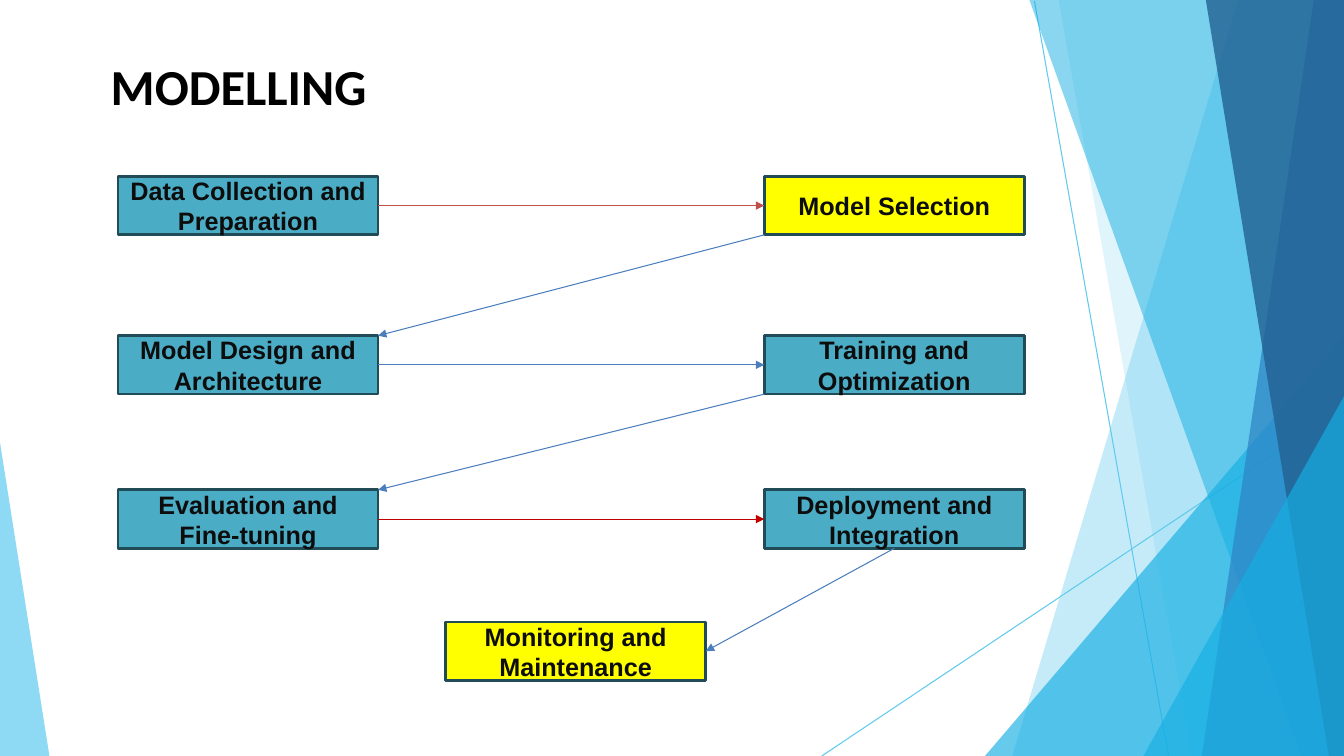
import pptx
import pptx.util
import pptx.dml.color
import pptx.enum.shapes
import pptx.enum.text
import pptx.oxml.ns
import pptx.oxml.xmlchemy

Inches, Pt = pptx.util.Inches, pptx.util.Pt
RGB = pptx.dml.color.RGBColor
qn = pptx.oxml.ns.qn
make = pptx.oxml.xmlchemy.OxmlElement
SKY = RGB(0x5F, 0xCA, 0xEE)
CYAN = RGB(0x16, 0xAF, 0xE3)
BLUE = RGB(0x2D, 0x83, 0xC3)
NAVY = RGB(0x22, 0x61, 0x92)
TEAL = RGB(0x4B, 0xAC, 0xC6)
YELLOW = RGB(0xFF, 0xFF, 0x00)
EDGE = RGB(0x21, 0x4B, 0x57)
INK = RGB(0x0D, 0x0D, 0x0D)
BLACK = RGB(0x00, 0x00, 0x00)
ROSE = RGB(0xC0, 0x50, 0x4D)
STEEL = RGB(0x4B, 0x7E, 0xBC)
RED = RGB(0xC0, 0x00, 0x00)

W, H = 13.33, 7.5
deck = pptx.Presentation()
deck.slide_width, deck.slide_height = Inches(W), Inches(H)
slide = deck.slides.add_slide(deck.slide_layouts[6])
shapes = slide.shapes


def add_line(start, end, color, arrow=False):
    kind = pptx.enum.shapes.MSO_CONNECTOR.STRAIGHT
    line = shapes.add_connector(kind, *map(Inches, start + end))
    line.line.color.rgb = color
    line.line.width = Pt(0.75)
    props = line._element.spPr
    props.append(make("a:effectLst"))
    if arrow:
        tip = make("a:tailEnd")
        tip.set("type", "triangle")
        props.find(qn("a:ln")).append(tip)


def write(shape, text, align, style):
    frame = shape.text_frame
    frame.word_wrap = True
    para = frame.paragraphs[0]
    para.alignment = align
    run = para.add_run()
    run.text = text
    for key, value in style.items():
        if key == "color":
            run.font.color.rgb = value
        else:
            setattr(run.font, key, value)


# Thin lines behind the facets
add_line((10.26, 0.01), (11.59, H), SKY)
add_line((W, 4.04), (8.15, H), SKY)

# Facets: side edge, top corner x and y, foot x, colour, opacity in percent
facets = [
    (W, 12.28, 0, 10.04, SKY, 36),
    (W, 10.5, 0, 11.82, SKY, 20),
    (W, W, 3.33, 9.77, CYAN, 66),
    (W, 10.21, 0, 12.91, CYAN, 50),
    (W, 13.03, 0, 11.92, BLUE, 70),
    (W, 11.96, 0, 13.18, NAVY, 80),
    (W, W, 3.93, 11.34, CYAN, 66),
    (0, 0, 4.39, 0.49, SKY, 70),
]
for side, top, y, foot, color, share in facets:
    pen = shapes.build_freeform(Inches(side), Inches(y))
    points = [(top, y), (foot, H), (side, H)]
    pen.add_line_segments([(Inches(a), Inches(b)) for a, b in points])
    facet = pen.convert_to_shape()
    facet.shadow.inherit = False
    facet.line.fill.background()
    facet.fill.solid()
    facet.fill.fore_color.rgb = color
    tint = facet._element.spPr.find(".//" + qn("a:srgbClr"))
    alpha = make("a:alpha")
    alpha.set("val", str(share * 1000))
    tint.append(alpha)

# Title
title = shapes.add_textbox(*map(Inches, (1, 0.5, 3.67, 0.71)))
title.text_frame.auto_size = pptx.enum.text.MSO_AUTO_SIZE.SHAPE_TO_FIT_TEXT
write(title, "MODELLING", pptx.enum.text.PP_ALIGN.LEFT,
      {"name": "Calibri", "size": Pt(36), "bold": True, "color": BLACK})

# Steps: two columns and three rows, with the last step between the columns
LEFT, MID, RIGHT = 1.17, 4.42, 7.58
ROWS = [1.75, 3.33, 4.86]
LAST = 6.17
WIDE, TALL = 2.58, 0.58
steps = [
    ("Data Collection and Preparation", LEFT, ROWS[0], TEAL),
    ("Model Selection", RIGHT, ROWS[0], YELLOW),
    ("Model Design and Architecture", LEFT, ROWS[1], TEAL),
    ("Training and Optimization", RIGHT, ROWS[1], TEAL),
    ("Evaluation and Fine-tuning", LEFT, ROWS[2], TEAL),
    ("Deployment and Integration", RIGHT, ROWS[2], TEAL),
    ("Monitoring and Maintenance", MID, LAST, YELLOW),
]
style = {"name": "Arial", "size": Pt(18), "bold": True, "color": INK}
for text, x, y, color in steps:
    box = shapes.add_shape(pptx.enum.shapes.MSO_SHAPE.RECTANGLE,
                           *map(Inches, (x, y, WIDE, TALL)))
    box.shadow.inherit = False
    box.fill.solid()
    box.fill.fore_color.rgb = color
    box.line.color.rgb = EDGE
    box.line.width = Pt(2)
    box.text_frame.vertical_anchor = pptx.enum.text.MSO_ANCHOR.MIDDLE
    write(box, text, pptx.enum.text.PP_ALIGN.CENTER, style)

# Arrows: across each row, then down to the next one
for i, (y, color) in enumerate(zip(ROWS, [ROSE, STEEL, RED])):
    add_line((LEFT + WIDE, y + TALL / 2), (RIGHT, y + TALL / 2), color, True)
    if i + 1 < len(ROWS):
        add_line((RIGHT, y + TALL), (LEFT + WIDE, ROWS[i + 1]), STEEL, True)
add_line((RIGHT + WIDE / 2, ROWS[-1] + TALL),
         (MID + WIDE, LAST + TALL / 2), STEEL, True)

deck.save("out.pptx")
